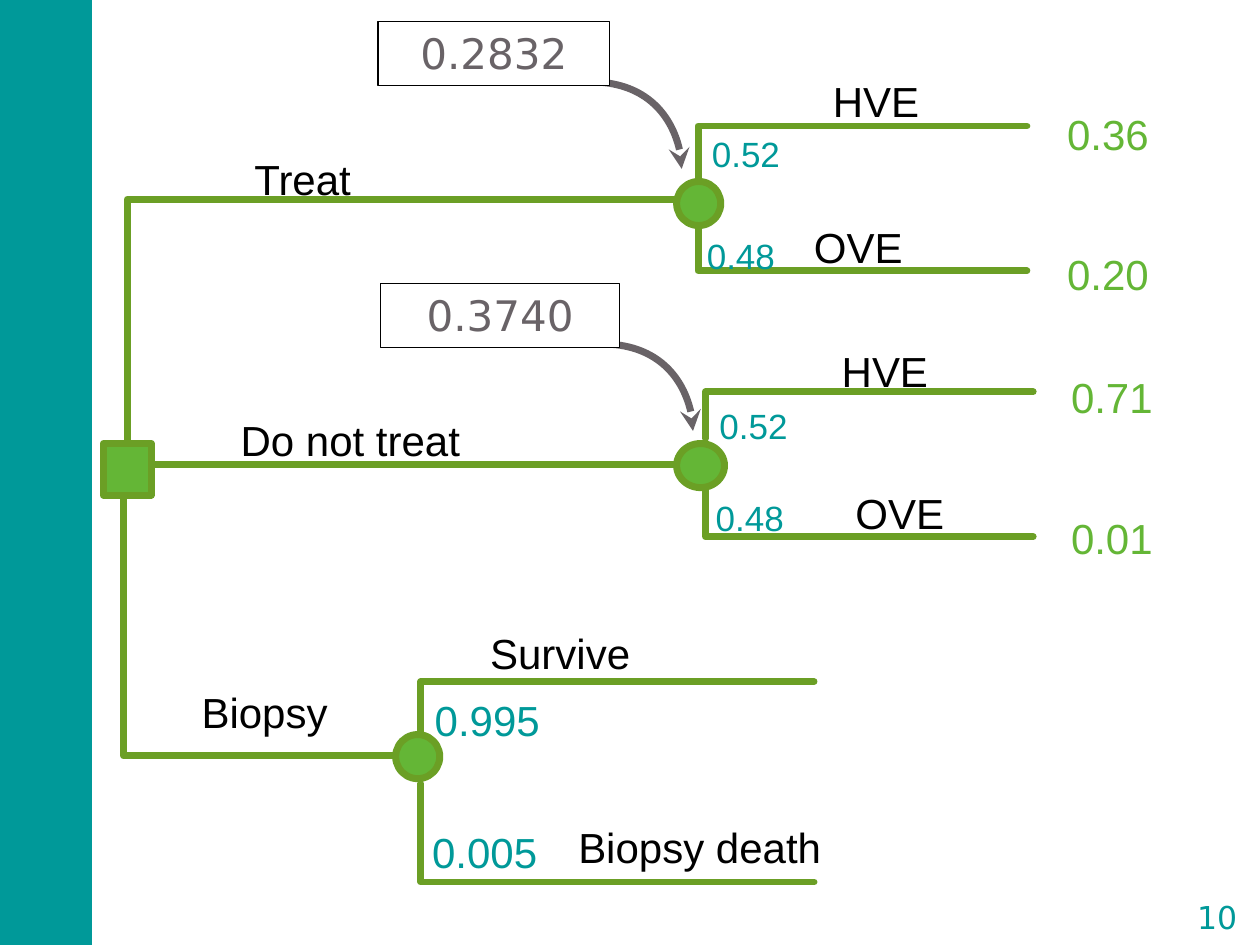
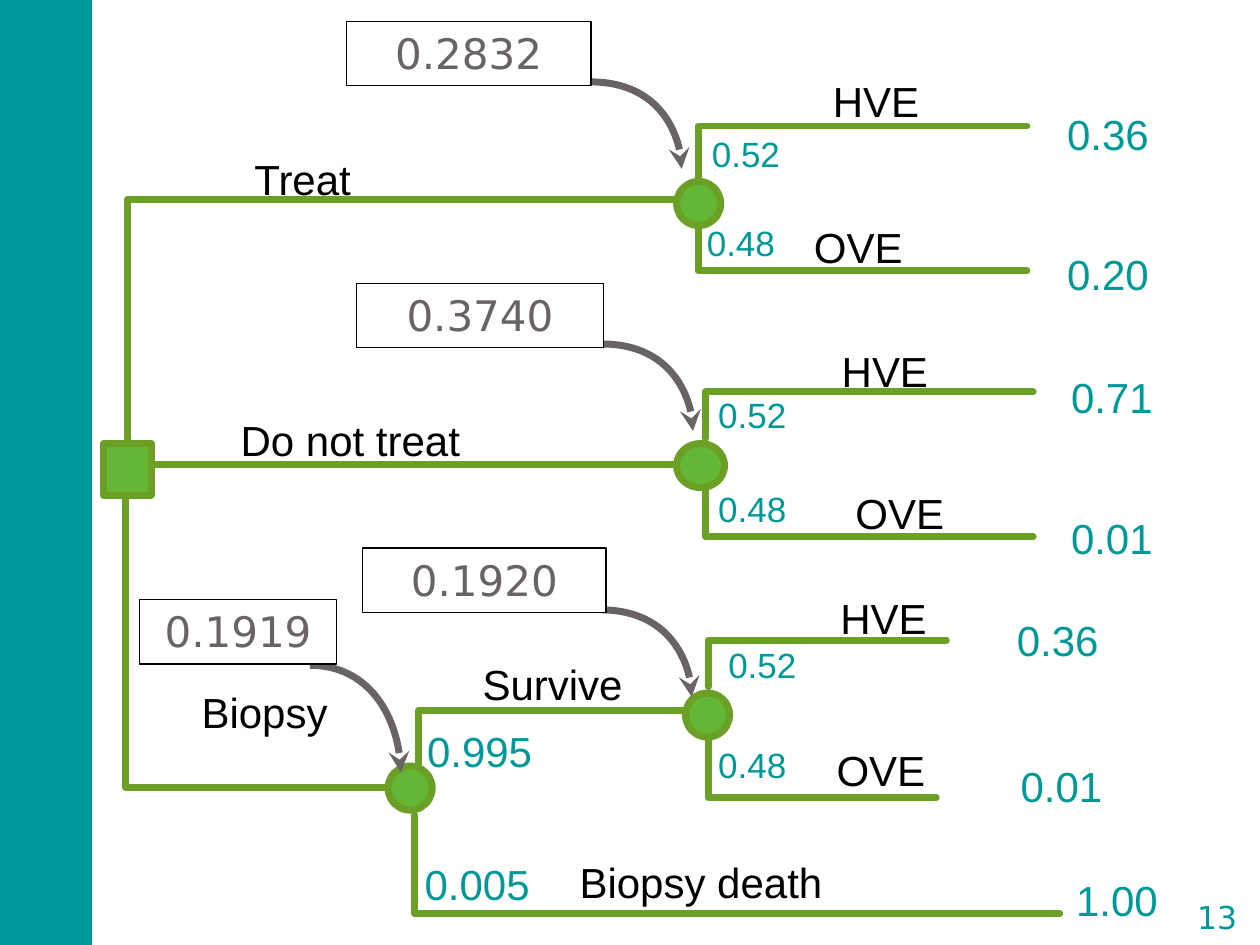
import pptx
import pptx.util
import pptx.dml.color
import pptx.enum.shapes
import pptx.enum.text
import pptx.oxml

KIND = pptx.enum.shapes.MSO_SHAPE
ALIGN = pptx.enum.text.PP_ALIGN
FIT = pptx.enum.text.MSO_AUTO_SIZE
COLS, ROWS = 1000, 750
TEAL, LEAF, MOSS, GREY = "009999", "64B636", "6B9F25", "696367"
BLACK, WHITE = "000000", "FFFFFF"
SANS, DEJA = "Arial", "DejaVu Sans"
TIGHT = ("Treat", "HVE", "Biopsy", "Biopsy death")

# shared tree: arms are (column, start row, end row, end column)
ARMS = [(95, 383, 369, 564), (101, 379, 158, 560),
        (554, 142, 100, 815), (554, 162, 215, 815),
        (560, 348, 311, 820), (560, 372, 426, 820)]
NODES = [(537, 144, 35), (537, 352, 38)]
NAMES = [("Treat", 196, 119, 90), ("Do not treat", 185, 326, 206),
         ("Biopsy", 154, 542, 113), ("HVE", 655, 57, 82),
         ("OVE", 640, 173, 104), ("HVE", 662, 271, 82),
         ("OVE", 673, 384, 104)]
ENDS = [("0.36", 841, 83), ("0.20", 841, 194),
        ("0.71", 844, 292), ("0.01", 844, 404)]
ARCS = [(469, 65, 69), (478, 273, 69)]

SLIDES = [
    dict(page="10", tint=LEAF,
         arms=[(98, 383, 600, 321), (334, 587, 541, 646),
               (334, 622, 700, 646)],
         nodes=[(314, 583, 35)],
         names=[("Survive", 383, 495, 175), ("Biopsy death", 453, 649, 207)],
         odds=[("0.52", 559, 102, 87), ("0.48", 555, 183, 73),
               ("0.52", 565, 318, 67), ("0.48", 562, 391, 77)],
         risks=[("0.995", 339, 548, 99), ("0.005", 337, 653, 101)],
         ends=[], arcs=[],
         sums=[("0.2832", 300, 17, 184), ("0.3740", 302, 225, 190)]),
    dict(page="13", tint=TEAL,
         arms=[(100, 383, 625, 323), (332, 610, 564, 552),
               (329, 647, 725, 841), (562, 545, 508, 751),
               (562, 579, 633, 743)],
         nodes=[(308, 608, 35), (544, 550, 35)],
         names=[("Survive", 377, 520, 165), ("Biopsy death", 454, 677, 207),
                ("HVE", 661, 467, 82), ("OVE", 658, 588, 104)],
         odds=[("0.52", 559, 102, 87), ("0.48", 555, 173, 73),
               ("0.52", 564, 309, 67), ("0.48", 564, 384, 77),
               ("0.48", 564, 587, 73), ("0.52", 572, 508, 79)],
         risks=[("0.995", 333, 573, 107), ("0.005", 331, 678, 109)],
         ends=[("0.36", 801, 485), ("0.01", 804, 601), ("1.00", 848, 691)],
         arcs=[(477, 484, 69), (246, 528, 85)],
         sums=[("0.2832", 275, 17, 194), ("0.3740", 283, 225, 196),
               ("0.1920", 288, 435, 193), ("0.1919", 111, 476, 156)]),
]

deck = pptx.Presentation()
deck.slide_width = pptx.util.Inches(10)
deck.slide_height = pptx.util.Inches(7.5)
UNIT = deck.slide_width // COLS


def grid(*cells):
    return [round(cell * UNIT) for cell in cells]


def rgb(code):
    return pptx.dml.color.RGBColor.from_string(code)


def node(tag, **atts):
    item = pptx.oxml.parse_xml(
        f'<a:{tag} xmlns:a="http://schemas.openxmlformats.org/drawingml/2006/main"/>')
    for key, val in atts.items():
        item.set(key, val)
    return item


def paint(shape, fill=None, line=None, width=4):
    shape.shadow.inherit = False
    if fill:
        shape.fill.solid()
        shape.fill.fore_color.rgb = rgb(fill)
    else:
        shape.fill.background()
    if line:
        shape.line.color.rgb = rgb(line)
        shape.line.width = pptx.util.Pt(width)
    else:
        shape.line.fill.background()


def block(page, kind, box, *style):
    shape = page.shapes.add_shape(kind, *grid(*box))
    paint(shape, *style)
    return shape


def trace(page, spots, tone):
    form = page.shapes.build_freeform(*grid(*spots[0]), scale=1.0)
    form.add_line_segments([grid(*spot) for spot in spots[1:]], close=False)
    shape = form.convert_to_shape()
    paint(shape, None, tone)
    return shape


def write(shape, text, size, font, tone, pads, align=ALIGN.LEFT, wrap=True):
    frame = shape.text_frame
    frame.word_wrap = wrap
    frame.margin_left = frame.margin_right = pptx.util.Inches(pads[0])
    frame.margin_top = frame.margin_bottom = pptx.util.Inches(pads[1])
    para = frame.paragraphs[0]
    para.alignment = align
    run = para.add_run()
    run.text = text
    run.font.size = pptx.util.Pt(size)
    run.font.name = font
    run.font.color.rgb = rgb(tone)
    return frame


def label(page, text, col, row, wide, size, tone):
    box = page.shapes.add_textbox(*grid(col, row, wide, size * 1.5 + 10))
    frame = write(box, text, size, SANS, tone, (0.06, 0.03),
                  wrap=text not in TIGHT)
    frame.auto_size = FIT.SHAPE_TO_FIT_TEXT


def branch(page, col, start, end, out):
    shape = trace(page, [(col, start), (col, end), (out, end)], MOSS)
    line = shape.line._get_or_add_ln()
    line.set("cap", "rnd")
    line.append(node("round"))


def arrow(page, col, row, tall, wide=72):
    shape = trace(page, [(col, row), (col + wide * 0.56, row),
                         (col + wide, row + tall * 0.45),
                         (col + wide, row + tall)], GREY)
    steps = shape._element.xpath(".//a:lnTo")
    curve = node("cubicBezTo")
    steps[0].addprevious(curve)
    for step in steps:
        curve.append(step[0])
        step.getparent().remove(step)
    shape.line._get_or_add_ln().append(node("tailEnd", type="stealth"))


def total(page, text, col, row, wide):
    box = block(page, KIND.RECTANGLE, (col, row, wide, 51), WHITE, BLACK, 0.75)
    frame = write(box, text, 24, DEJA, GREY, (0.1, 0.05), ALIGN.CENTER)
    frame.vertical_anchor = pptx.enum.text.MSO_ANCHOR.TOP


def number(page, text):
    box = block(page, KIND.DOUBLE_BRACKET, (936, 706, 60, 43), None, WHITE, 1.5)
    box.adjustments[0] = 0.18
    frame = write(box, text, 18, DEJA, TEAL, (0, 0), ALIGN.CENTER)
    frame.vertical_anchor = pptx.enum.text.MSO_ANCHOR.MIDDLE


for plan in SLIDES:
    page = deck.slides.add_slide(deck.slide_layouts[6])
    block(page, KIND.RECTANGLE, (-2, 0, 75, ROWS), TEAL)
    for arm in ARMS + plan["arms"]:
        branch(page, *arm)
    block(page, KIND.RECTANGLE, (82, 352, 38, 41), LEAF, MOSS)
    for col, row, wide in NODES + plan["nodes"]:
        block(page, KIND.OVAL, (col, row, wide, 35), LEAF, MOSS)
    for item in NAMES + plan["names"]:
        label(page, *item, 24, BLACK)
    for item in plan["odds"]:
        label(page, *item, 20, TEAL)
    for item in plan["risks"]:
        label(page, *item, 24, TEAL)
    for item in ENDS + plan["ends"]:
        label(page, *item, 85, 24, plan["tint"])
    for arc in ARCS + plan["arcs"]:
        arrow(page, *arc)
    for item in plan["sums"]:
        total(page, *item)
    number(page, plan["page"])

deck.save("out.pptx")
